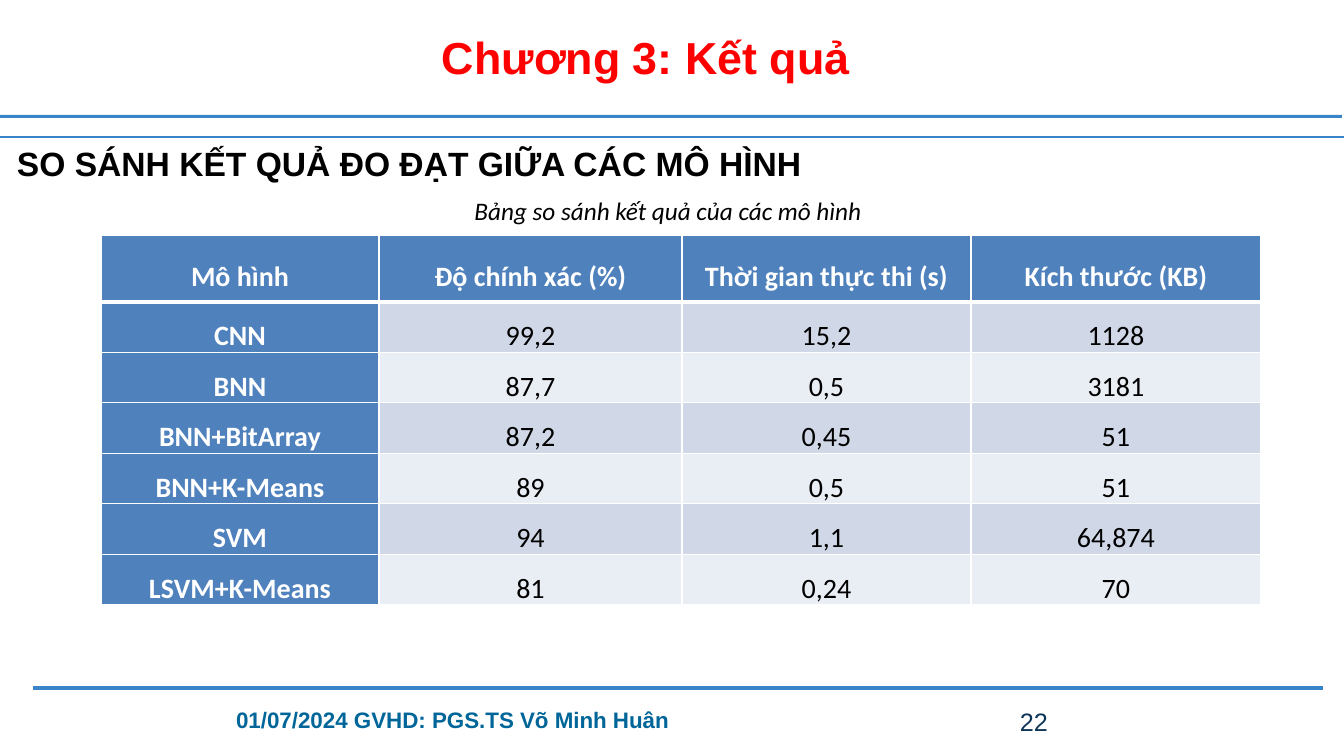
from lxml.etree import SubElement
from pptx import Presentation
from pptx.dml.color import RGBColor
from pptx.enum.shapes import MSO_CONNECTOR, MSO_SHAPE
from pptx.enum.text import MSO_ANCHOR, PP_ALIGN
from pptx.oxml.ns import qn
from pptx.util import Emu, Pt

HEX = {
    "rule": "3A85CA", "title": "FF0000", "text": "000000", "white": "FFFFFF",
    "page": "0D3557", "foot": "006699", "head": "4F81BD",
    "odd": "D0D8E8", "even": "E9EDF4",
}
ROWS = [
    ["Mô hình", "Độ chính xác (%)", "Thời gian thực thi (s)", "Kích thước (KB)"],
    ["CNN", "99,2", "15,2", "1128"],
    ["BNN", "87,7", "0,5", "3181"],
    ["BNN+BitArray", "87,2", "0,45", "51"],
    ["BNN+K-Means", "89", "0,5", "51"],
    ["SVM", "94", "1,1", "64,874"],
    ["LSVM+K-Means", "81", "0,24", "70"],
]
COLS = [278, 303, 289, 290]
HEAD_H, ROW_H = 67, 50


def px(n):
    return Emu(round(n * 914400 / 100.8))


def rgb(name):
    return RGBColor.from_string(HEX[name])


def style(par, size, color, font="Arial", bold=False, italic=False):
    for run in par.runs:
        run.font.size = Pt(size)
        run.font.name = font
        run.font.bold = bold
        run.font.italic = italic
        run.font.color.rgb = rgb(color)


def add_label(slide, text, x, y, w, h, size, color, align=PP_ALIGN.LEFT,
              lead=None, **look):
    frame = slide.shapes.add_textbox(px(x), px(y), px(w), px(h)).text_frame
    frame.word_wrap = True
    frame.margin_left = frame.margin_right = 0
    frame.margin_top = frame.margin_bottom = 0
    frame.text = text
    par = frame.paragraphs[0]
    par.alignment = align
    if lead:
        par.line_spacing = Pt(lead)
    style(par, size, color, **look)


def add_rule(slide, x1, x2, y, width):
    line = slide.shapes.add_connector(
        MSO_CONNECTOR.STRAIGHT, px(x1), px(y), px(x2), px(y))
    line.line.color.rgb = rgb("rule")
    line.line.width = Pt(width)
    SubElement(line._element.spPr, qn("a:effectLst"))


def add_band(slide, x, y, w, h):
    band = slide.shapes.add_shape(
        MSO_SHAPE.RECTANGLE, px(x), px(y), px(w), px(h))
    band.shadow.inherit = False
    band.fill.solid()
    band.fill.fore_color.rgb = rgb("rule")
    band.line.fill.background()


def set_edges(cell, widths):
    props = cell._tc.get_or_add_tcPr()
    for spot, (side, width) in enumerate(widths.items()):
        edge = SubElement(props, qn(f"a:{side}"), w=str(Pt(width)))
        fill = SubElement(edge, qn("a:solidFill"))
        SubElement(fill, qn("a:srgbClr"), val=HEX["white"])
        props.insert(spot, edge)


def fill_cell(cell, text, row, col):
    lead = row == 0 or col == 0
    cell.text = text
    cell.vertical_anchor = MSO_ANCHOR.MIDDLE
    cell.margin_left = cell.margin_right = px(4)
    cell.margin_top = cell.margin_bottom = 0
    par = cell.text_frame.paragraphs[0]
    par.alignment = PP_ALIGN.CENTER
    par.line_spacing = 1.5
    style(par, 20, "white" if lead else "text", font="Calibri", bold=lead)
    cell.fill.solid()
    cell.fill.fore_color.rgb = rgb(
        "head" if lead else "odd" if row % 2 else "even")
    set_edges(cell, {"lnL": 1, "lnR": 1, "lnT": 3 if row == 1 else 1,
                     "lnB": 3 if row == 0 else 1})


def add_grid(slide, x, y):
    high = HEAD_H + ROW_H * (len(ROWS) - 1)
    table = slide.shapes.add_table(
        len(ROWS), len(COLS), px(x), px(y), px(sum(COLS)), px(high)).table
    for col, width in zip(table.columns, COLS):
        col.width = px(width)
    for r, texts in enumerate(ROWS):
        table.rows[r].height = px(ROW_H if r else HEAD_H)
        for c, text in enumerate(texts):
            fill_cell(table.cell(r, c), text, r, c)


def main():
    deck = Presentation()
    deck.slide_width, deck.slide_height = px(1344), px(756)
    slide = deck.slides.add_slide(deck.slide_layouts[6])

    # Rules under the title and above the footer
    add_band(slide, 0, 115, 1342, 3)
    add_rule(slide, 0, 1344, 137, 2)
    add_rule(slide, 33, 1323, 688, 3)

    # Title and heading
    add_label(slide, "Chương 3: Kết quả", 436, 30, 420, 54, 32, "title",
              PP_ALIGN.CENTER, bold=True)
    add_label(slide, "SO SÁNH KẾT QUẢ ĐO ĐẠT GIỮA CÁC MÔ HÌNH",
              17, 143, 890, 40, 24, "text", bold=True)

    # Table with its caption
    add_label(slide, "Bảng so sánh kết quả của các mô hình",
              374, 195, 588, 32, 18, "text", PP_ALIGN.CENTER,
              font="Calibri", italic=True)
    add_grid(slide, 101, 235)

    # Footer
    add_label(slide, "01/07/2024 GVHD: PGS.TS Võ Minh Huân",
              236, 707, 455, 27, 16, "foot", lead=18.6, bold=True)
    add_label(slide, "22", 1020, 707, 37, 31, 18, "page", lead=20.9)

    deck.save("out.pptx")


if __name__ == "__main__":
    main()
